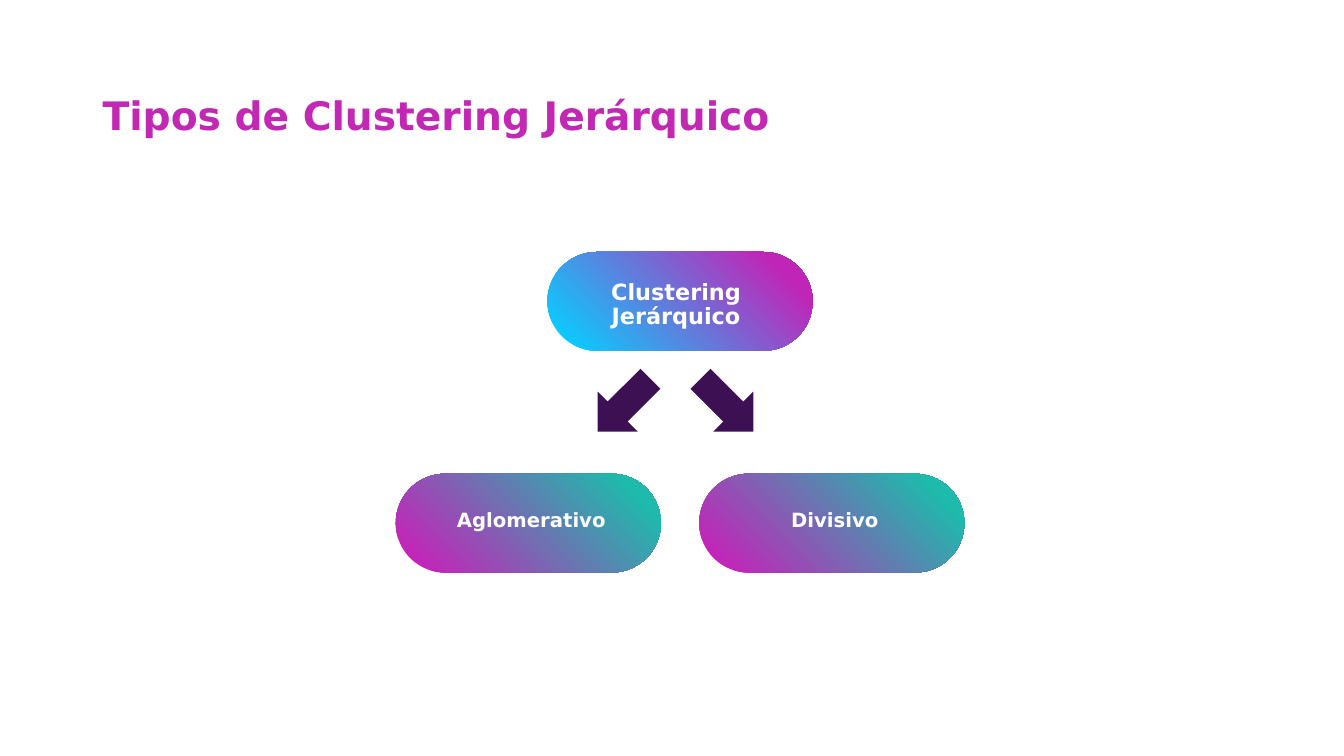
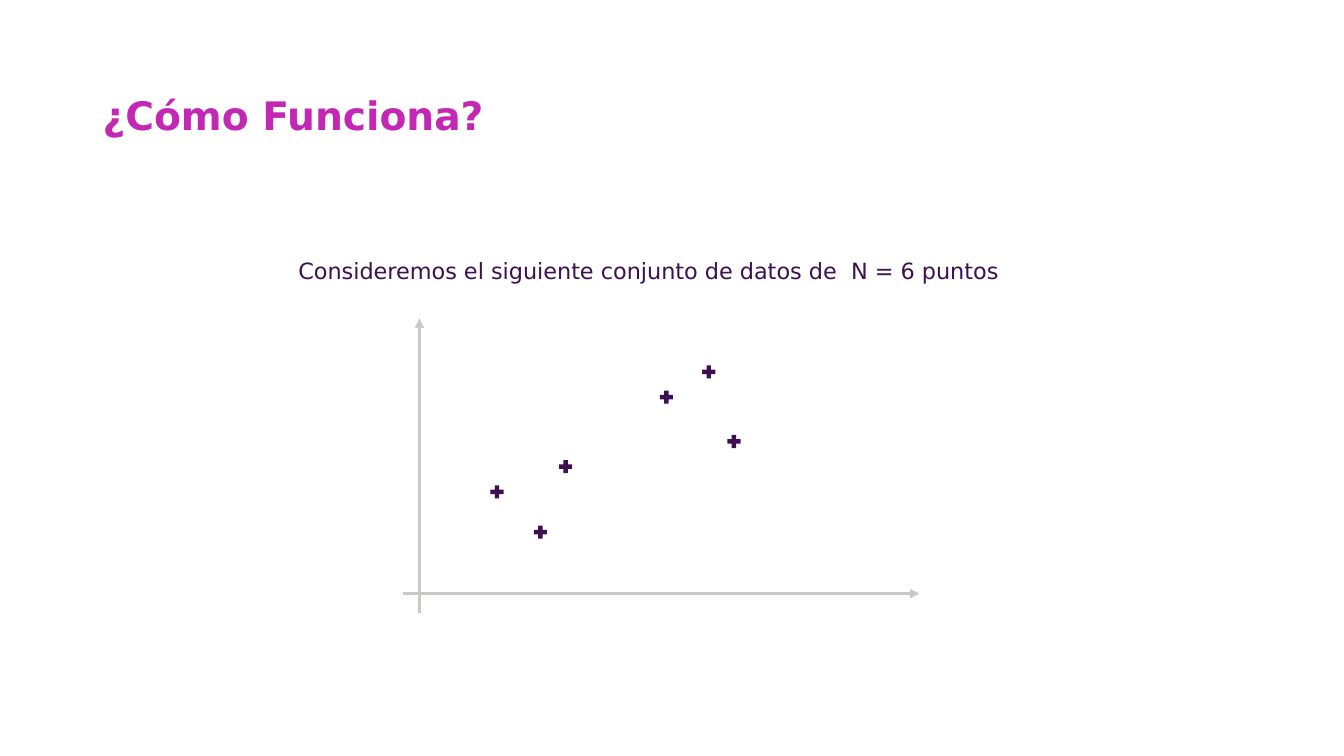
from dataclasses import dataclass

from lxml.etree import SubElement
from pptx import Presentation
from pptx.dml.color import RGBColor
from pptx.enum.shapes import MSO_CONNECTOR as CONN, MSO_SHAPE as SHAPE
from pptx.enum.text import MSO_ANCHOR as ANCHOR, PP_ALIGN as ALIGN
from pptx.oxml.ns import qn
from pptx.util import Inches, Pt


@dataclass(frozen=True)
class Theme:
    font: str = "DejaVu Sans"
    title: str = "C228B4"
    ink: str = "3C1053"
    white: str = "FFFFFF"
    axis: str = "C8C9C7"
    root_fill: tuple = ((0.08, "0DC9FD"), (0.87, "C125B7"))
    child_fill: tuple = ((0.09, "C126B8"), (0.88, "1EBBAC"))
    title_size: int = 28
    body_size: int = 16
    child_size: int = 14
    axis_width: float = 2.25


T = Theme()
W, H = 13.33, 7.5

# Tree: one root above two children, mirrored about MID
MID = W / 2 + 0.08
PILL_W, PILL_H, PILL_GAP = 2.63, 0.98, 0.38
ROOT_Y, CHILD_Y = 2.99, 5.19
LABEL_W, LABEL_H = 2.35, 0.44
ARROW_W, ARROW_H, ARROW_Y = 0.56, 0.74, 4.02
ARROW_MID, ARROW_STEP = 6.7, 0.51

TREE_TITLE = "Tipos de Clustering Jerárquico"
ROOT = "Clustering Jerárquico"
CHILDREN = ["Aglomerativo", "Divisivo"]

# Scatter: points measured right of and above the origin
PLOT_TITLE = "¿Cómo Funciona?"
INTRO = "Consideremos el siguiente conjunto de datos de  N = 6 puntos"
ORIGIN_X, ORIGIN_Y = 4.16, 5.89
AXIS_X, AXIS_Y = (-0.16, 4.96), (-0.19, 2.73)
POINTS = [(0.77, 1.01), (1.2, 0.61), (1.45, 1.26),
          (2.45, 1.95), (2.87, 2.2), (3.12, 1.51)]
MARK = 0.13


def rgb(color):
    return RGBColor.from_string(color)


def add_text(s, text, x, y, w, h, *, size, color, bold=False, align=ALIGN.LEFT,
             anchor=ANCHOR.TOP, spacing=None, before=None, inset=None):
    tf = s.shapes.add_textbox(*map(Inches, (x, y, w, h))).text_frame
    tf.word_wrap = True
    tf.vertical_anchor = anchor
    if inset is not None:
        tf.margin_left = tf.margin_right = Inches(inset)
        tf.margin_top = tf.margin_bottom = Inches(inset)
    p = tf.paragraphs[0]
    p.alignment = align
    if spacing is not None:
        p.line_spacing = spacing
    if before is not None:
        p.space_before = Pt(before)
    r = p.add_run()
    r.text = text
    r.font.name, r.font.size, r.font.bold = T.font, Pt(size), bold
    r.font.color.rgb = rgb(color)


def add_shape(s, kind, cx, cy, w, h, fill, *, adjust=None, rotation=0):
    """Place a shape by its centre; fill is a colour or two gradient stops."""
    sp = s.shapes.add_shape(
        kind, *map(Inches, (cx - w / 2, cy - h / 2, w, h)))
    sp.shadow.inherit = False
    sp.line.fill.background()
    sp.rotation = rotation
    if adjust is not None:
        sp.adjustments[0] = adjust
    if isinstance(fill, str):
        sp.fill.solid()
        sp.fill.fore_color.rgb = rgb(fill)
    else:
        sp.fill.gradient()
        sp.fill.gradient_angle = 45
        for stop, (position, color) in zip(sp.fill.gradient_stops, fill):
            stop.position = position
            stop.color.rgb = rgb(color)


def add_axis(s, x1, y1, x2, y2):
    line = s.shapes.add_connector(
        CONN.STRAIGHT, *map(Inches, (x1, y1, x2, y2)))
    line.line.color.rgb = rgb(T.axis)
    line.line.width = Pt(T.axis_width)
    SubElement(line.line._get_or_add_ln(), qn("a:tailEnd"), type="triangle")
    SubElement(line._element.spPr, qn("a:effectLst"))


def add_pill(s, text, cx, cy, fill, size, dx, dy):
    """Draw a pill whose label box sits dx, dy away from its centre."""
    add_shape(s, SHAPE.ROUNDED_RECTANGLE, cx, cy, PILL_W, PILL_H, fill, adjust=0.5)
    add_text(s, text, cx + dx - LABEL_W / 2, cy + dy - LABEL_H / 2,
             LABEL_W, LABEL_H, size=size, color=T.white, bold=True,
             align=ALIGN.CENTER, spacing=0.9, before=7.5)


def add_slide(prs, title):
    s = prs.slides.add_slide(prs.slide_layouts[6])
    add_text(s, title, 0.92, 0.71, 11.5, 0.91, size=T.title_size, color=T.title,
             bold=True, anchor=ANCHOR.MIDDLE, spacing=0.9)
    return s


def tree_slide(prs):
    s = add_slide(prs, TREE_TITLE)
    add_pill(s, ROOT, MID, ROOT_Y, T.root_fill, T.body_size, -0.04, -0.03)
    for side, name in zip((-1, 1), CHILDREN):
        add_pill(s, name, MID + side * (PILL_W + PILL_GAP) / 2, CHILD_Y,
                 T.child_fill, T.child_size, 0.03, 0.05)
        add_shape(s, SHAPE.DOWN_ARROW, ARROW_MID + side * ARROW_STEP, ARROW_Y,
                  ARROW_W, ARROW_H, T.ink, rotation=-45 * side)


def plot_slide(prs):
    s = add_slide(prs, PLOT_TITLE)
    add_text(s, INTRO, 2.06, H / 3, 8.75, 0.37, size=T.body_size, color=T.ink,
             align=ALIGN.CENTER, inset=0.05)
    low, high = AXIS_Y
    add_axis(s, ORIGIN_X, ORIGIN_Y - low, ORIGIN_X, ORIGIN_Y - high)
    left, right = AXIS_X
    add_axis(s, ORIGIN_X + left, ORIGIN_Y, ORIGIN_X + right, ORIGIN_Y)
    for x, y in POINTS:
        add_shape(s, SHAPE.CROSS, ORIGIN_X + x, ORIGIN_Y - y, MARK, MARK,
                  T.ink, adjust=1 / 3)


def main():
    prs = Presentation()
    prs.slide_width, prs.slide_height = Inches(W), Inches(H)
    tree_slide(prs)
    plot_slide(prs)
    prs.save("out.pptx")


if __name__ == "__main__":
    main()
